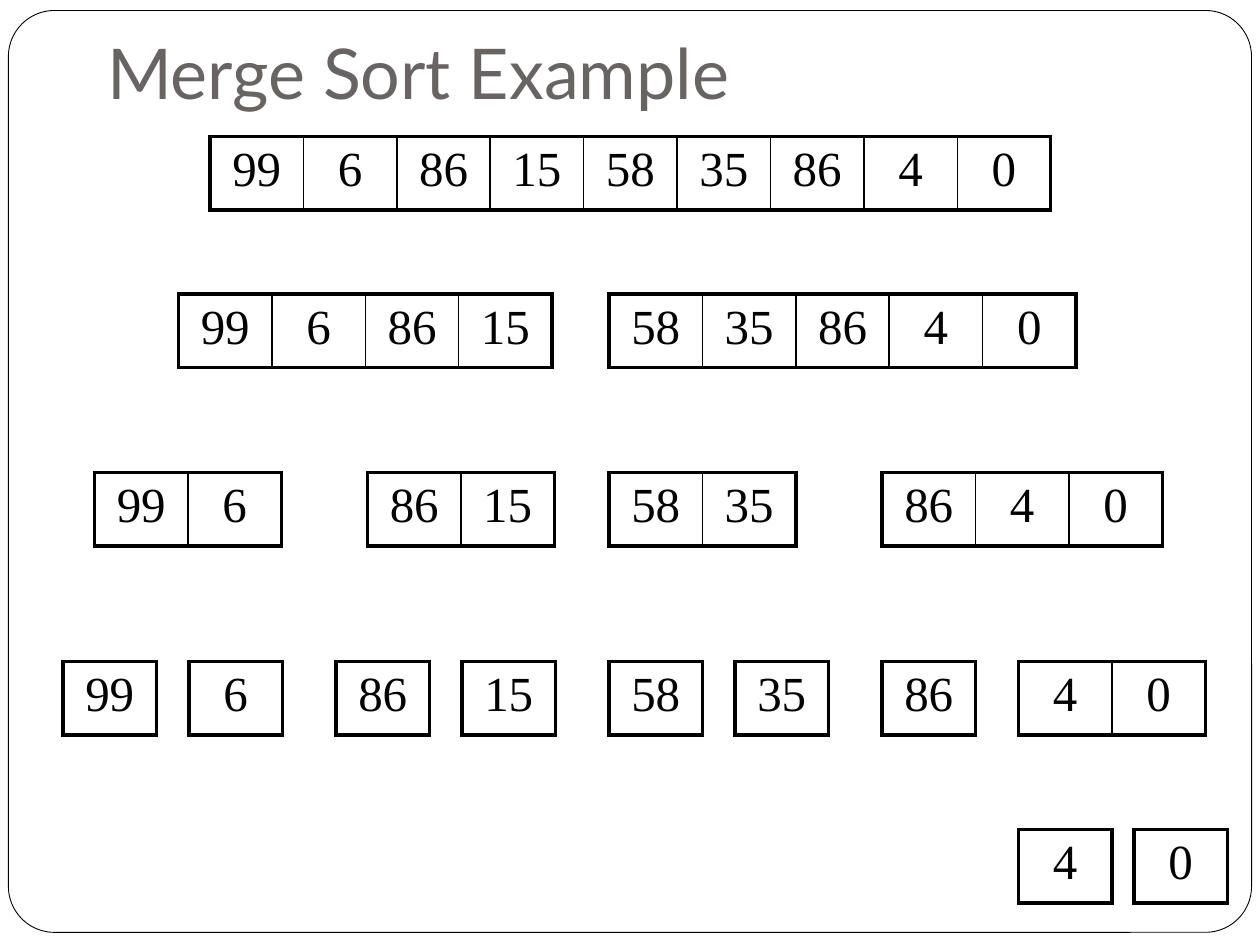
from dataclasses import dataclass

from lxml.etree import SubElement
from pptx import Presentation
from pptx.dml.color import RGBColor
from pptx.enum.shapes import MSO_SHAPE as Preset
from pptx.enum.text import MSO_ANCHOR as Anchor, MSO_AUTO_SIZE as AutoSize, PP_ALIGN as Align
from pptx.oxml import parse_xml
from pptx.oxml.ns import nsdecls, qn
from pptx.util import Pt

EMU_PER_PX = 7620
CELL_WIDTH, CELL_HEIGHT = 89, 70


@dataclass(frozen=True)
class Theme:
    paper: str = "FFFFFF"
    ink: str = "000000"
    heading: str = "696464"
    title_font: str = "Lato"
    number_font: str = "Times New Roman"
    title_size: float = 40
    number_size: float = 28
    frame_line: float = 0.5
    inner_line: float = 1
    outer_line: float = 2.25
    space_before_percent: int = 20


@dataclass(frozen=True)
class Run:
    left: int
    numbers: tuple[int, ...]


@dataclass(frozen=True)
class Level:
    top: int
    runs: tuple[Run, ...]


THEME = Theme()

LEVELS = (
    Level(130, (Run(200, (99, 6, 86, 15, 58, 35, 86, 4, 0)),)),
    Level(280, (Run(170, (99, 6, 86, 15)), Run(580, (58, 35, 86, 4, 0)))),
    Level(450, (Run(90, (99, 6)), Run(350, (86, 15)),
                Run(580, (58, 35)), Run(840, (86, 4, 0)))),
    Level(630, (Run(60, (99,)), Run(180, (6,)), Run(320, (86,)), Run(440, (15,)),
                Run(580, (58,)), Run(700, (35,)), Run(840, (86,)), Run(970, (4, 0)))),
    Level(790, (Run(970, (4,)), Run(1080, (0,)))),
)


def px(*lengths: int) -> list[int]:
    return [length * EMU_PER_PX for length in lengths]


def color(value: str) -> RGBColor:
    return RGBColor.from_string(value)


def write(paragraph, text: str, font_name: str, size: float, ink: str) -> None:
    run = paragraph.add_run()
    run.text = text
    run.font.name = font_name
    run.font.size = Pt(size)
    run.font.bold = False
    run.font.color.rgb = color(ink)


def draw_title(slide, text: str) -> None:
    title = slide.shapes.title
    title.left, title.top, title.width, title.height = px(90, 0, 1020, 120)
    frame = title.text_frame
    frame.auto_size = AutoSize.NONE
    frame.vertical_anchor = Anchor.BOTTOM
    frame.margin_left, frame.margin_top, frame.margin_right, frame.margin_bottom = px(12, 6, 12, 12)
    paragraph = frame.paragraphs[0]
    paragraph.alignment = Align.LEFT
    write(paragraph, text, THEME.title_font, THEME.title_size, THEME.heading)


def draw_page_frame(slide) -> None:
    shape = slide.shapes.add_shape(Preset.ROUNDED_RECTANGLE, *px(8, 10, 1184, 878))
    shape.adjustments[0] = 0.05
    shape.shadow.inherit = False
    shape.fill.solid()
    shape.fill.fore_color.rgb = color(THEME.paper)
    shape.line.color.rgb = color(THEME.ink)
    shape.line.width = Pt(THEME.frame_line)
    slide.shapes.title.element.addprevious(shape.element)


def set_borders(cell, widths: dict[str, float]) -> None:
    properties = cell._tc.get_or_add_tcPr()
    for position, (side, width) in enumerate(widths.items()):
        properties.insert(position, parse_xml(
            f'<a:ln{side} {nsdecls("a")} w="{Pt(width)}"><a:solidFill>'
            f'<a:srgbClr val="{THEME.ink}"/></a:solidFill></a:ln{side}>'))


def draw_run(slide, run: Run, top: int) -> None:
    count = len(run.numbers)
    table = slide.shapes.add_table(
        1, count, *px(run.left, top, count * CELL_WIDTH, CELL_HEIGHT)).table
    table.first_row = table.horz_banding = False
    for index, number in enumerate(run.numbers):
        table.columns[index].width = CELL_WIDTH * EMU_PER_PX
        cell = table.cell(0, index)
        cell.fill.background()
        set_borders(cell, {
            "L": THEME.outer_line if index == 0 else THEME.inner_line,
            "R": THEME.outer_line if index == count - 1 else THEME.inner_line,
            "T": THEME.outer_line,
            "B": THEME.outer_line,
        })
        paragraph = cell.text_frame.paragraphs[0]
        paragraph.alignment = Align.CENTER
        spacing = SubElement(paragraph._p.get_or_add_pPr(), qn("a:spcBef"))
        SubElement(spacing, qn("a:spcPct"), val=str(THEME.space_before_percent * 1000))
        write(paragraph, str(number), THEME.number_font, THEME.number_size, THEME.ink)


def main() -> None:
    presentation = Presentation()
    presentation.slide_width, presentation.slide_height = px(1200, 900)
    slide = presentation.slides.add_slide(presentation.slide_layouts[5])
    draw_title(slide, "Merge Sort Example")
    draw_page_frame(slide)
    for level in LEVELS:
        for run in level.runs:
            draw_run(slide, run, level.top)
    presentation.save("out.pptx")


if __name__ == "__main__":
    main()
